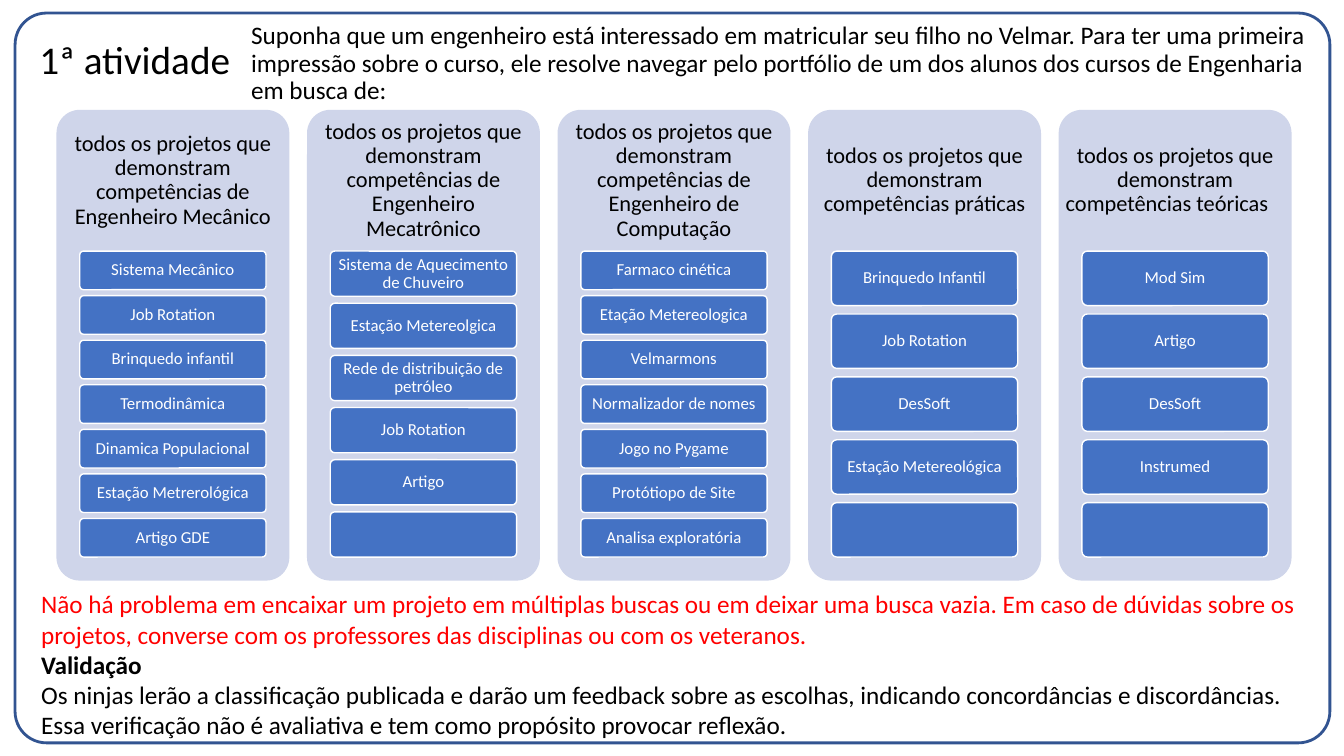
from lxml import etree
from pptx import Presentation
from pptx.dml.color import RGBColor
from pptx.enum.shapes import MSO_SHAPE
from pptx.enum.text import MSO_ANCHOR, MSO_AUTO_SIZE, PP_ALIGN
from pptx.oxml.ns import qn
from pptx.util import Pt

PX = 9144
FONT = "Calibri"
LEFT, CENTER = PP_ALIGN.LEFT, PP_ALIGN.CENTER
TOP, MIDDLE = MSO_ANCHOR.TOP, MSO_ANCHOR.MIDDLE
ROUNDED = MSO_SHAPE.ROUNDED_RECTANGLE
NO_FIT = MSO_AUTO_SIZE.NONE
COLORS = {
    "frame": "325491",
    "panel": "CFD5EA",
    "tile": "4472C4",
    "white": "FFFFFF",
    "black": "000000",
    "alert": "FF0000",
}
TITLE = "1ª atividade"
INTRO = (
    "Suponha que um engenheiro está interessado em matricular seu filho no Velmar. "
    "Para ter uma primeira impressão sobre o curso, ele resolve navegar pelo portfólio "
    "de um dos alunos dos cursos de Engenharia em busca de:"
)
HEADING = "todos os projetos que demonstram competências "
SEARCHES = [
    ("de Engenheiro Mecânico",
     ["Sistema Mecânico", "Job Rotation", "Brinquedo infantil", "Termodinâmica",
      "Dinamica Populacional", "Estação Metrerológica", "Artigo GDE"]),
    ("de Engenheiro Mecatrônico",
     ["Sistema de Aquecimento de Chuveiro", "Estação Metereolgica",
      "Rede de distribuição de petróleo", "Job Rotation", "Artigo", ""]),
    ("de Engenheiro de Computação",
     ["Farmaco cinética", "Etação Metereologica", "Velmarmons", "Normalizador de nomes",
      "Jogo no Pygame", "Protótiopo de Site", "Analisa exploratória"]),
    ("práticas",
     ["Brinquedo Infantil", "Job Rotation", "DesSoft", "Estação Metereológica", ""]),
    ("teóricas\t", ["Mod Sim", "Artigo", "DesSoft", "Instrumed", ""]),
]
NOTES = [
    ("Não há problema em encaixar um projeto em múltiplas buscas ou em deixar uma busca "
     "vazia. Em caso de dúvidas sobre os projetos, converse com os professores das "
     "disciplinas ou com os veteranos.", "alert", False),
    ("Validação", "black", True),
    ("Os ninjas lerão a classificação publicada e darão um feedback sobre as escolhas, "
     "indicando concordâncias e discordâncias. Essa verificação não é avaliativa e tem "
     "como propósito provocar reflexão.", "black", False),
]


def emu(box):
    """Turn a box of px lengths into EMU."""
    return [round(length * PX) for length in box]


def place(shape, box):
    """Move a shape to the given box."""
    shape.left, shape.top, shape.width, shape.height = emu(box)


def set_frame(shape, anchor=TOP, inset=None):
    """Prepare the text frame of a shape and return it."""
    frame = shape.text_frame
    frame.word_wrap = True
    frame.auto_size = NO_FIT
    frame.vertical_anchor = anchor
    if inset is not None:
        frame.margin_left = frame.margin_right = inset * PX
        frame.margin_top = frame.margin_bottom = inset * PX
    return frame


def write(para, text, size=18, color="black", bold=False, align=LEFT, spacing=0.9, before=0):
    """Write one formatted span into a paragraph."""
    para.alignment = align
    para.line_spacing = spacing
    para.space_before = Pt(before)
    span = para.add_run()
    span.text = text
    span.font.name = FONT
    span.font.size = Pt(size)
    span.font.bold = bold
    span.font.color.rgb = RGBColor.from_string(COLORS[color])


def add_rounded(page, box, radius, fill=None, line=None, width=1):
    """Add a rounded rectangle with optional fill and outline."""
    shape = page.shapes.add_shape(ROUNDED, *emu(box))
    shape.shadow.inherit = False
    shape.adjustments[0] = radius
    if fill:
        shape.fill.solid()
        shape.fill.fore_color.rgb = RGBColor.from_string(COLORS[fill])
    else:
        shape.fill.background()
    if line:
        shape.line.color.rgb = RGBColor.from_string(COLORS[line])
        shape.line.width = Pt(width)
    else:
        shape.line.fill.background()
    return shape


def add_header(page, box):
    """Fill the title and body placeholders side by side."""
    left, top, width, height = box
    title, body = page.shapes.title, page.placeholders[1]
    place(title, (left, top, 1150, 145))
    write(set_frame(title, MIDDLE).paragraphs[0], TITLE, size=28)
    place(body, (left + 210, top + 29, width - 210, height - 29))
    para = set_frame(body).paragraphs[0]
    write(para, INTRO, before=10)
    properties = para._p.get_or_add_pPr()
    properties.set("marL", "0")
    properties.set("indent", "0")
    etree.SubElement(properties, qn("a:buNone"))


def add_search(page, box, heading, projects):
    """Draw one panel with its heading and its stack of project tiles."""
    left, top, width, height = box
    add_rounded(page, box, 0.1, fill="panel")
    label = page.shapes.add_textbox(*emu((left, top, width, height * 0.3)))
    write(set_frame(label, MIDDLE, 7).paragraphs[0], HEADING + heading, size=16, align=CENTER)
    gap_ratio = 2 / 13
    count = len(projects)
    tile_height = height * 0.65 / (count + (count - 1) * gap_ratio)
    for index, project in enumerate(projects):
        tile_top = top + height * 0.3 + index * tile_height * (1 + gap_ratio)
        tile_box = (left + width * 0.1, tile_top, width * 0.8, tile_height)
        tile = add_rounded(page, tile_box, 0.1, fill="tile", line="white")
        if project:
            para = set_frame(tile, MIDDLE, 3).paragraphs[0]
            write(para, project, size=12, color="white", align=CENTER)


def add_searches(page, box):
    """Spread the search panels evenly over the box."""
    left, top, width, height = box
    panel_width = 231
    pitch = (width - panel_width) / (len(SEARCHES) - 1)
    for index, (heading, projects) in enumerate(SEARCHES):
        add_search(page, (left + index * pitch, top, panel_width, height), heading, projects)


def add_notes(page, box):
    """Write the closing remarks."""
    frame = set_frame(page.shapes.add_textbox(*emu(box)))
    for index, (text, color, bold) in enumerate(NOTES):
        para = frame.add_paragraph() if index else frame.paragraphs[0]
        write(para, text, color=color, bold=bold, spacing=1.0)


def main():
    """Build the slide and save it."""
    deck = Presentation()
    deck.slide_width, deck.slide_height = 1333 * PX, 750 * PX
    page = deck.slides.add_slide(deck.slide_layouts[1])
    add_rounded(page, (15, 13, 1304, 724), 0.043, line="frame", width=2)
    add_header(page, (29, -11, 1288, 505))
    add_searches(page, (56, 109, 1225, 467))
    add_notes(page, (31, 579, 1286, 162))
    deck.save("out.pptx")


if __name__ == "__main__":
    main()
